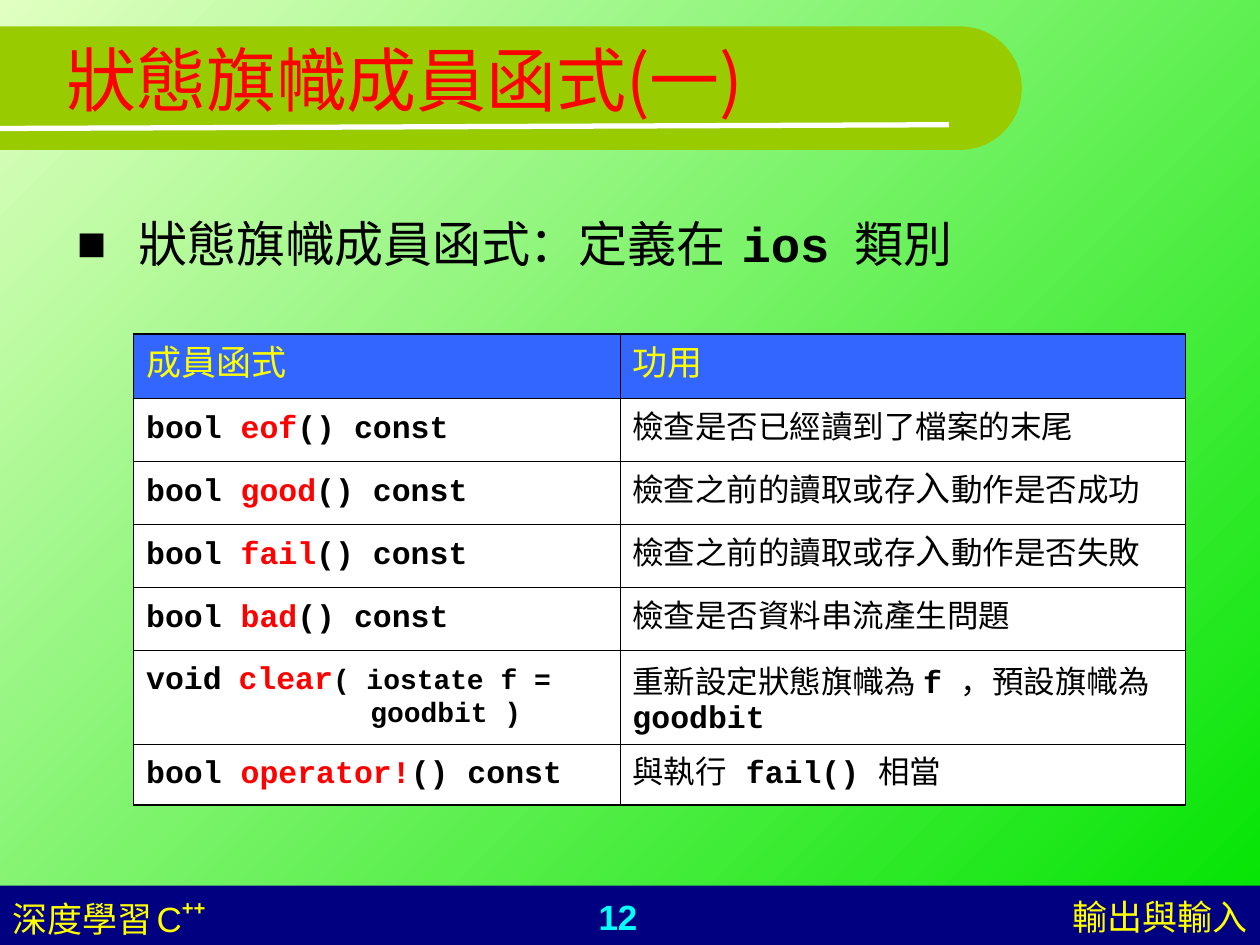
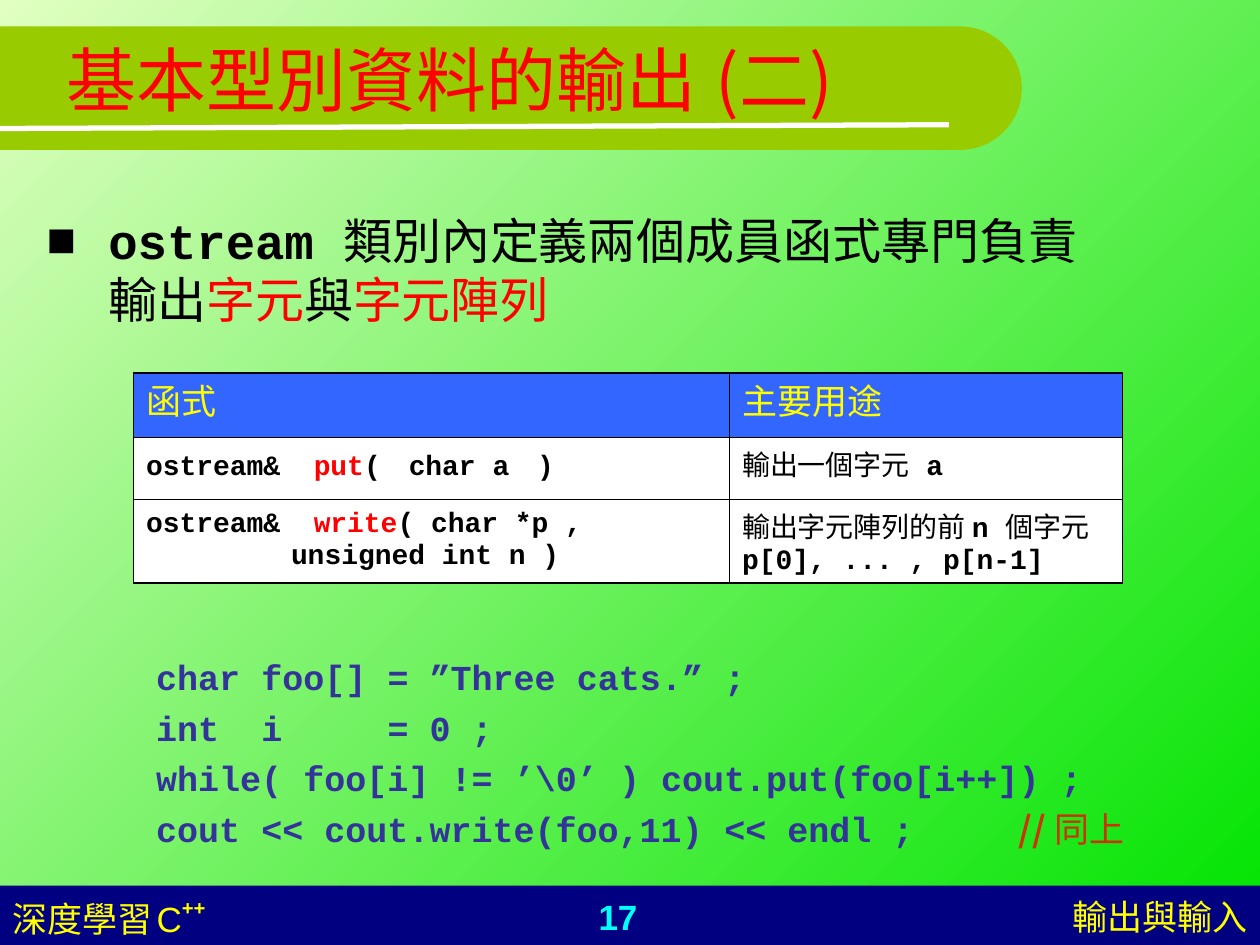
from math import cos, pi, sin

from lxml.etree import SubElement
from pptx import Presentation
from pptx.dml.color import RGBColor
from pptx.enum.shapes import MSO_CONNECTOR as Connector, MSO_SHAPE as Shape
from pptx.enum.text import MSO_ANCHOR as Anchor, MSO_AUTO_SIZE as AutoSize, PP_ALIGN as Align
from pptx.oxml import parse_xml
from pptx.oxml.ns import nsdecls, qn
from pptx.util import Inches, Pt

MONO, SANS, CJK = "Courier New", "Arial", "Noto Sans CJK SC"
BLACK, WHITE, RED, YELLOW = "000000", "FFFFFF", "FF0000", "FFFF00"
NAVY, OLIVE, HEADER_BLUE, CODE_BLUE = "000080", "99CC00", "3366FF", "333399"
CYAN, COMMENT_RED = "00FFFF", "CC3300"

PLAIN = {}
CODE = dict(bold=True)
HOT = dict(bold=True, color=RED)
KEY = dict(color=RED)
GAP = dict(size=9)
LARGE = dict(size=20)
SMALL_CODE = dict(bold=True, size=16)
HAN = dict(font=CJK)
BREAK = ("\n", PLAIN)

COURSE = [("深度學習", PLAIN), (" ", dict(size=8)), ("C", PLAIN),
          ("++", dict(bold=True, raised=46))]
CHAPTER = [("輸出與輸入", PLAIN)]


def member(kind, name):
    return [(kind + " ", CODE), (name, HOT), ("() const", CODE)]


def access_check(result):
    return [("檢查之前的讀取或存", PLAIN), ("入", LARGE), ("動作是否" + result, PLAIN)]


SLIDES = [
    dict(
        number="12",
        title=[("狀態旗幟成員函式", PLAIN), ("(一)", HAN)],
        bullet=[("狀態旗幟成員函式：定義在", PLAIN), ("　", GAP), ("ios", CODE),
                ("　 ", dict(size=9, bold=True)), ("類別", PLAIN)],
        bullet_box=(0.51, 1.7, 9.07, 0.55),
        bullet_spacing=0.9,
        table=dict(
            top=2.65, columns=[3.86, 4.49], rows=[0.51, 0.5, 0.5, 0.5, 0.5, 0.75, 0.48],
            size=18, header=["成員函式", "功用"], hanging={5: 1.78},
            body=[
                (member("bool", "eof"), [("檢查是否已經讀到了檔案的末尾", PLAIN)]),
                (member("bool", "good"), access_check("成功")),
                (member("bool", "fail"), access_check("失敗")),
                (member("bool", "bad"), [("檢查是否資料串流產生問題", PLAIN)]),
                ([("void", CODE), (" ", SMALL_CODE), ("clear", HOT),
                  ("( iostate f = goodbit )", SMALL_CODE)],
                 [("重新設定狀態旗幟為 ", HAN), ("f ", CODE),
                  ("，預設旗幟為 ", HAN), ("goodbit", CODE)]),
                (member("bool", "operator!"),
                 [("與執行 ", PLAIN), ("fail() ", CODE), ("相當", PLAIN)]),
            ]),
        code=[],
    ),
    dict(
        number="17",
        title=[("基本型別資料的輸出 ", PLAIN), ("(二)", HAN)],
        bullet=[("ostream ", CODE), ("類別內定義兩個成員函式專門負責輸出", PLAIN),
                ("字元", KEY), ("與", PLAIN), ("字元陣列", KEY)],
        bullet_box=(0.27, 1.62, 8.59, 1.29),
        bullet_spacing=1.0,
        table=dict(
            top=2.96, columns=[4.73, 3.12], rows=[0.51, 0.49, 0.67],
            size=16, header=["函式", "主要用途"], hanging={2: 1.15},
            body=[
                ([("ostream&  ", CODE), ("put", HOT), ("(　char a　)", CODE)],
                 [("輸出一個字元 ", PLAIN), ("a", CODE)]),
                ([("ostream&  ", CODE), ("write", HOT), ("( char *p ,", CODE), BREAK,
                  ("unsigned int n )", CODE)],
                 [("輸出字元陣列的前 ", HAN), ("n ", CODE), ("個字元", HAN), BREAK,
                  ("p[0], ... , p[n-1]", CODE)]),
            ]),
        code=[
            [("char foo[] = ”Three cats.” ;", CODE)],
            [("int  i     = 0 ;", CODE)],
            [("while( foo[i] != ’\\0’ ) cout.put(foo[i++]) ;", CODE)],
            [("cout << cout.write(foo,11) << endl ;     ", CODE),
             ("// ", dict(bold=True, font=CJK, color=COMMENT_RED)),
             ("同上", dict(color=COMMENT_RED))],
        ],
    ),
]


def rgb(value):
    return RGBColor.from_string(value)


def write(paragraph, runs, **base):
    for text, changes in runs:
        if text == "\n":
            paragraph.add_line_break()
            continue
        style = dict(font=MONO, color=BLACK, bold=False, raised=0) | base | changes
        run = paragraph.add_run()
        run.text = text
        run.font.name = style["font"]
        run.font.size = Pt(style["size"])
        run.font.bold = style["bold"]
        run.font.color.rgb = rgb(style["color"])
        properties = run._r.get_or_add_rPr()
        east_asian = parse_xml(f'<a:ea {nsdecls("a")} typeface="{style["font"]}"/>')
        properties.find(qn("a:latin")).addnext(east_asian)
        if style["raised"]:
            properties.set("baseline", str(style["raised"] * 1000))


def hang(paragraph, indent):
    properties = paragraph._p.get_or_add_pPr()
    properties.set("marL", str(Inches(indent)))
    properties.set("indent", str(-Inches(indent)))
    return properties


def place(shape, left, top, width, height):
    shape.left, shape.top = Inches(left), Inches(top)
    shape.width, shape.height = Inches(width), Inches(height)


def paint(shape, color):
    shape.shadow.inherit = False
    shape.fill.solid()
    shape.fill.fore_color.rgb = rgb(color)
    shape.line.fill.background()


def add_label(slide, box, lines, align=Align.LEFT, spacing=1.0, **base):
    frame = slide.shapes.add_textbox(*map(Inches, box)).text_frame
    frame.word_wrap = True
    for index, runs in enumerate(lines):
        paragraph = frame.add_paragraph() if index else frame.paragraphs[0]
        paragraph.alignment = align
        paragraph.line_spacing = spacing
        write(paragraph, runs, **base)


def add_title_band(slide):
    top, radius, center_x, steps = 0.21, 0.49, 7.62, 40
    center_y = top + radius
    angles = [-pi / 2 + pi * step / steps for step in range(steps + 1)]
    arc = [(center_x + radius * cos(a), center_y + radius * sin(a)) for a in angles]
    outline = slide.shapes.build_freeform(0, Inches(top))
    outline.add_line_segments(
        [(Inches(x), Inches(y)) for x, y in arc + [(0, top + 2 * radius)]])
    band = outline.convert_to_shape()
    paint(band, OLIVE)

    underline = slide.shapes.add_connector(
        Connector.STRAIGHT, *map(Inches, (0, 1.02, 7.53, 0.99)))
    underline.line.color.rgb = rgb(WHITE)
    underline.line.width = Pt(3)
    SubElement(underline.element.spPr, qn("a:effectLst"))
    for part in (band, underline):
        slide.shapes.title.element.addprevious(part.element)


def add_footer(slide, number):
    footer = slide.shapes.add_shape(Shape.RECTANGLE, *map(Inches, (0, 7.03, 10, 0.47)))
    paint(footer, NAVY)
    add_label(slide, (3.74, 7.06, 2.33, 0.44), [[(number, CODE)]], Align.CENTER,
              size=20, font=SANS, color=CYAN)
    add_label(slide, (6.57, 7.06, 3.43, 0.44), [CHAPTER], Align.RIGHT,
              size=20, font=SANS, color=YELLOW)
    add_label(slide, (0, 7.06, 2.33, 0.44), [COURSE],
              size=20, font=SANS, color=YELLOW)


def fill_title(slide, runs):
    title = slide.shapes.title
    place(title, 0.43, 0, 9, 1.25)
    title.text_frame.vertical_anchor = Anchor.MIDDLE
    title.text_frame.auto_size = AutoSize.NONE
    paragraph = title.text_frame.paragraphs[0]
    paragraph.alignment = Align.LEFT
    write(paragraph, runs, size=40, font=SANS, color=RED)


def fill_bullet(slide, runs, box, spacing):
    body = slide.placeholders[1]
    place(body, *box)
    body.text_frame.auto_size = AutoSize.NONE
    paragraph = body.text_frame.paragraphs[0]
    paragraph.line_spacing = spacing
    paragraph.space_before = Pt(0)
    properties = hang(paragraph, 0.49)
    color = SubElement(properties, qn("a:buClr"))
    SubElement(color, qn("a:srgbClr"), val=BLACK)
    SubElement(properties, qn("a:buFont"), typeface=SANS)
    SubElement(properties, qn("a:buChar"), char="■")
    write(paragraph, runs, size=28)


def set_borders(cell, outer):
    properties = cell._tc.get_or_add_tcPr()
    for index, side in enumerate("LRTB"):
        width = Pt(1.08 if outer[side] else 0.45)
        properties.insert(index, parse_xml(
            f'<a:ln{side} {nsdecls("a")} w="{width}"><a:solidFill>'
            f'<a:srgbClr val="{BLACK}"/></a:solidFill></a:ln{side}>'))


def add_member_table(slide, top, columns, rows, size, header, hanging, body):
    grid = slide.shapes.add_table(
        len(rows), len(columns), Inches(1.06), Inches(top),
        Inches(sum(columns)), Inches(sum(rows))).table
    grid.first_row = grid.horz_banding = False
    for column, width in zip(grid.columns, columns):
        column.width = Inches(width)
    for row, height in zip(grid.rows, rows):
        row.height = Inches(height)

    headings = [[(text, PLAIN)] for text in header]
    for r, entries in enumerate([headings, *body]):
        for c, runs in enumerate(entries):
            cell = grid.cell(r, c)
            cell.vertical_anchor = Anchor.MIDDLE
            cell.fill.solid()
            cell.fill.fore_color.rgb = rgb(WHITE if r else HEADER_BLUE)
            set_borders(cell, dict(L=c == 0, R=c == len(columns) - 1,
                                   T=r == 0, B=r == len(rows) - 1))
            paragraph = cell.text_frame.paragraphs[0]
            if c == 0 and r in hanging:
                hang(paragraph, hanging[r])
            write(paragraph, runs, size=size if r else 20,
                  color=BLACK if r else YELLOW)


def set_background(master):
    fill = master.background.fill
    fill.gradient()
    fill.gradient_angle = 315
    for stop, (position, color) in zip(fill.gradient_stops, [(0, "E0FFC1"), (1, "00E400")]):
        stop.position = position
        stop.color.rgb = rgb(color)


def main():
    deck = Presentation()
    deck.slide_width, deck.slide_height = Inches(10), Inches(7.5)
    set_background(deck.slide_master)
    for content in SLIDES:
        slide = deck.slides.add_slide(deck.slide_layouts[1])
        add_title_band(slide)
        add_footer(slide, content["number"])
        fill_title(slide, content["title"])
        fill_bullet(slide, content["bullet"], content["bullet_box"], content["bullet_spacing"])
        add_member_table(slide, **content["table"])
        if content["code"]:
            add_label(slide, (1.14, 5.09, 8.35, 1.7), content["code"],
                      spacing=1.2, size=20, color=CODE_BLUE)
    deck.save("out.pptx")


if __name__ == "__main__":
    main()
